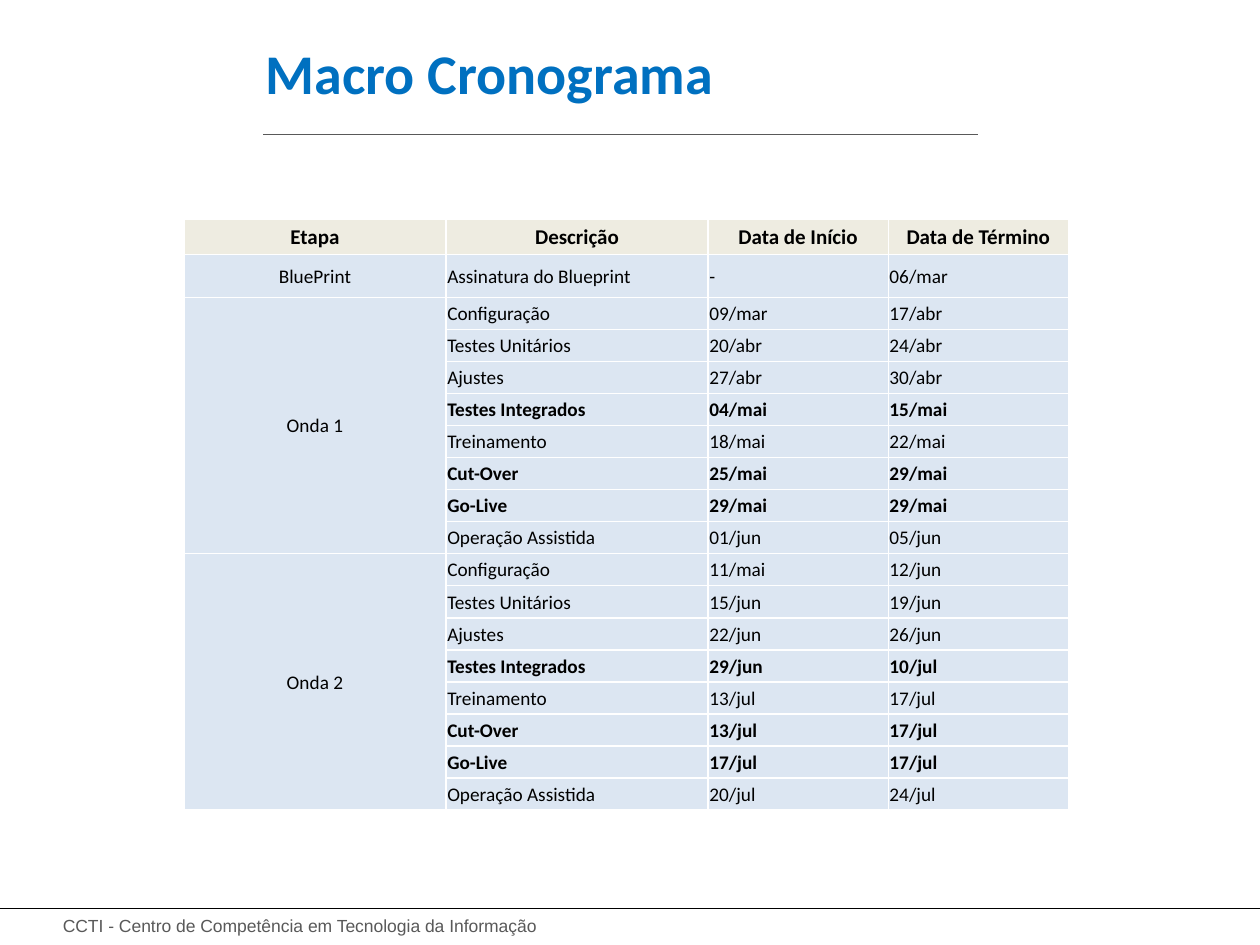
from lxml.etree import SubElement
from pptx import Presentation
from pptx.dml.color import RGBColor
from pptx.enum.shapes import MSO_CONNECTOR
from pptx.enum.text import MSO_ANCHOR, PP_ALIGN
from pptx.oxml.ns import qn
from pptx.util import Inches, Pt

HUES = {
    "title": "0070C0",
    "gray": "595959",
    "black": "000000",
    "white": "FFFFFF",
    "head": "EEECE1",
    "body": "DCE6F2",
}
HEADS = ["Etapa", "Descrição", "Data de Início", "Data de Término"]
TASKS = ["Configuração", "Testes Unitários", "Ajustes", "Testes Integrados",
         "Treinamento", "Cut-Over", "Go-Live", "Operação Assistida"]
KEY = {"Testes Integrados", "Cut-Over", "Go-Live"}
WAVES = {
    "Onda 1": [("09/mar", "17/abr"), ("20/abr", "24/abr"), ("27/abr", "30/abr"),
               ("04/mai", "15/mai"), ("18/mai", "22/mai"), ("25/mai", "29/mai"),
               ("29/mai", "29/mai"), ("01/jun", "05/jun")],
    "Onda 2": [("11/mai", "12/jun"), ("15/jun", "19/jun"), ("22/jun", "26/jun"),
               ("29/jun", "10/jul"), ("13/jul", "17/jul"), ("13/jul", "17/jul"),
               ("17/jul", "17/jul"), ("20/jul", "24/jul")],
}


def write(frame, text, size, font, hue, bold=False, align=PP_ALIGN.LEFT):
    para = frame.paragraphs[0]
    para.alignment = align
    run = para.add_run()
    run.text = text
    run.font.size = Pt(size)
    run.font.name = font
    run.font.bold = bold
    run.font.color.rgb = RGBColor.from_string(HUES[hue])


deck = Presentation()
deck.slide_width = Inches(10)
deck.slide_height = Inches(7.5)
slide = deck.slides.add_slide(deck.slide_layouts[6])

foot = slide.shapes.add_textbox(Inches(0.4), Inches(7.21), Inches(4.92), Inches(0.27))
foot.text_frame.word_wrap = True
write(foot.text_frame, "CCTI - Centro de Competência em Tecnologia da Informação",
      10, "Arial", "gray")

for left, right, top, hue, width in [(0, 10, 7.21, "black", 0.75),
                                     (2.09, 7.76, 1.07, "gray", 0.5)]:
    rule = slide.shapes.add_connector(MSO_CONNECTOR.STRAIGHT, Inches(left), Inches(top),
                                      Inches(right), Inches(top))
    rule.line.color.rgb = RGBColor.from_string(HUES[hue])
    rule.line.width = Pt(width)
    SubElement(rule.element.spPr, qn("a:effectLst"))

title = slide.shapes.add_textbox(Inches(2.01), Inches(0.14), Inches(6.21), Inches(0.87))
title.text_frame.word_wrap = True
title.text_frame.vertical_anchor = MSO_ANCHOR.MIDDLE
write(title.text_frame, "Macro Cronograma", 32, "Calibri", "title", True)

rows = [HEADS, ["BluePrint", "Assinatura do Blueprint", "-", "06/mar"]]
for wave, dates in WAVES.items():
    for task, (start, end) in zip(TASKS, dates):
        rows.append([wave if task == TASKS[0] else "", task, start, end])

grid = slide.shapes.add_table(len(rows), len(HEADS), Inches(1.46), Inches(1.74),
                              Inches(7.02), Inches(4.69)).table
for col, width in zip(grid.columns, [2.08, 2.08, 1.43, 1.43]):
    col.width = Inches(width)
for row in grid.rows:
    row.height = Inches(4.07 / 16)
grid.rows[0].height = Inches(0.28)
grid.rows[1].height = Inches(0.34)

for i, row in enumerate(rows):
    top = i == 0
    for j, text in enumerate(row):
        cell = grid.cell(i, j)
        cell.margin_left = cell.margin_right = cell.margin_top = Inches(0.01)
        cell.margin_bottom = 0
        cell.vertical_anchor = MSO_ANCHOR.MIDDLE
        props = cell._tc.get_or_add_tcPr()
        for side in "LRTB":
            width = 1.5 if top and side == "T" else 1
            edge = SubElement(props, qn(f"a:ln{side}"), w=str(Pt(width)))
            fill = SubElement(edge, qn("a:solidFill"))
            SubElement(fill, qn("a:srgbClr"), val=HUES["white"])
        cell.fill.solid()
        cell.fill.fore_color.rgb = RGBColor.from_string(HUES["head" if top else "body"])
        if text:
            bold = top or (j > 0 and row[1] in KEY)
            align = PP_ALIGN.CENTER if top or j == 0 else PP_ALIGN.LEFT
            write(cell.text_frame, text, 12 if top else 11, "Calibri", "black", bold, align)

for first in range(2, len(rows), len(TASKS)):
    grid.cell(first, 0).merge(grid.cell(first + len(TASKS) - 1, 0))

deck.save("out.pptx")
